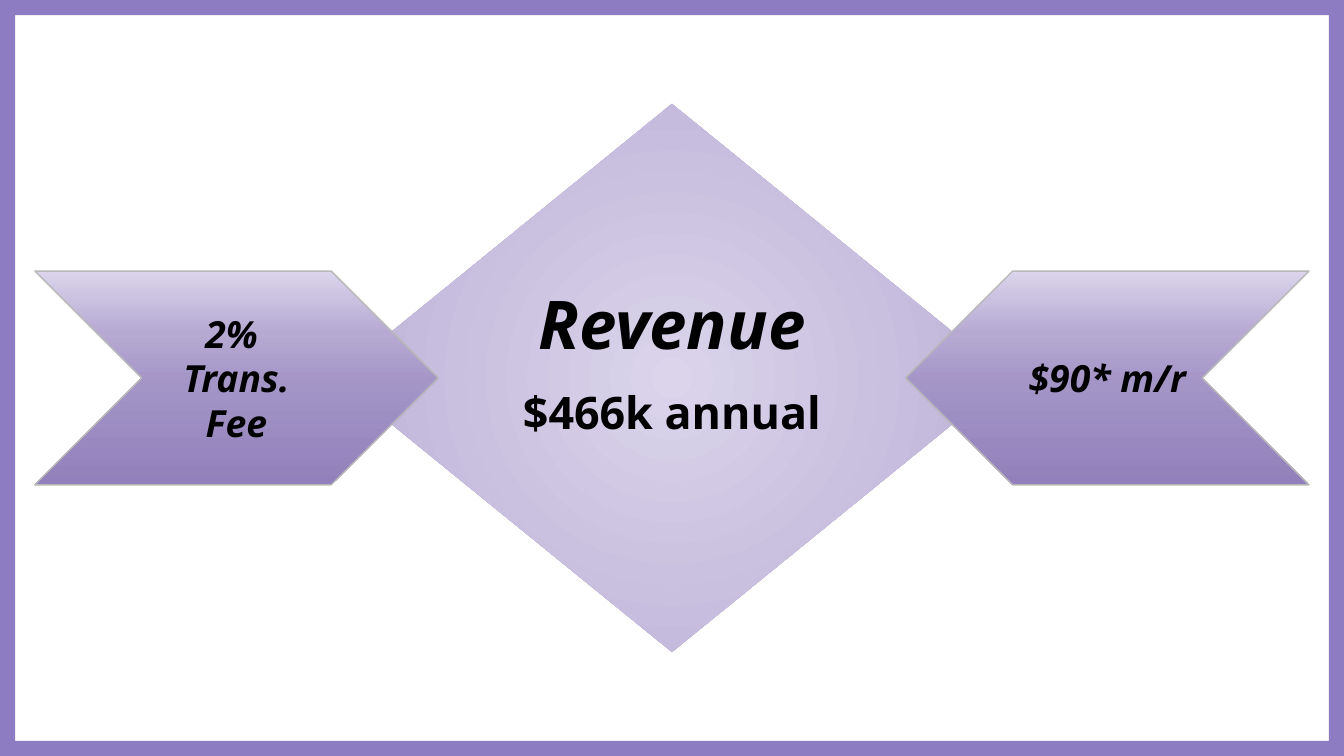
from lxml.etree import SubElement
from pptx import Presentation
from pptx.dml.color import RGBColor
from pptx.enum.shapes import MSO_SHAPE
from pptx.enum.text import MSO_ANCHOR, PP_ALIGN
from pptx.oxml.ns import qn
from pptx.util import Cm, Pt

FONT = "Open Sans"
BLACK = RGBColor(0x00, 0x00, 0x00)
GREY = RGBColor(0xB7, 0xB7, 0xB7)
PURPLE = RGBColor(0x8E, 0x7C, 0xC3)
PALE = RGBColor(0xDB, 0xD4, 0xEB)
LILAC = RGBColor(0xB6, 0xAA, 0xD3)
MAUVE = RGBColor(0xA4, 0x95, 0xC7)
PLUM = RGBColor(0x91, 0x80, 0xBB)

WIDTH, HEIGHT = 25.4, 14.29
CENTRE = [
    ("Revenue", dict(size=36, italic=True)),
    ("$466k annual", dict(size=24, before=12)),
]
LEFT = [("2% ", dict(italic=True)), ("Trans. Fee", dict(italic=True))]
RIGHT = [("$90* m/r", dict(italic=True))]
GLOW = [(0, PALE), (100, LILAC)]
FADE = [(0, PALE), (29, LILAC), (52, MAUVE), (100, PLUM)]


def add_shape(kind, left, top, width, height):
    shape = slide.shapes.add_shape(kind, Cm(left), Cm(top), Cm(width), Cm(height))
    shape.shadow.inherit = False
    shape.line.fill.background()
    return shape


def shade(shape, stops, round=False):
    """Fill with a gradient, from the centre out or from top to bottom."""
    shape.fill.gradient()
    grad = shape.element.spPr.find(qn("a:gradFill"))
    for child in list(grad):
        grad.remove(child)
    items = SubElement(grad, qn("a:gsLst"))
    for place, color in stops:
        stop = SubElement(items, qn("a:gs"), pos=str(place * 1000))
        SubElement(stop, qn("a:srgbClr"), val=str(color))
    if round:
        way = SubElement(grad, qn("a:path"), {"path": "circle"})
        SubElement(way, qn("a:fillToRect"), l="50000", t="50000", r="50000", b="50000")
    else:
        SubElement(grad, qn("a:lin"), ang="5400000", scaled="0")


def add_line(para, text, size=20, italic=False, before=0):
    para.alignment = PP_ALIGN.CENTER
    para.space_before = Pt(before)
    run = para.add_run()
    run.text = text
    font = run.font
    font.name, font.size = FONT, Pt(size)
    font.bold, font.italic = True, italic
    font.color.rgb = BLACK


def write(shape, lines, bottom=0.25):
    frame = shape.text_frame
    frame.word_wrap = True
    frame.vertical_anchor = MSO_ANCHOR.MIDDLE
    frame.margin_left = frame.margin_right = frame.margin_top = Cm(0.25)
    frame.margin_bottom = Cm(bottom)
    for i, (text, style) in enumerate(lines):
        para = frame.add_paragraph() if i else frame.paragraphs[0]
        add_line(para, text, **style)


def add_arrow(left, lines, flip=False):
    wide, high = 7.62, 4.04
    arrow = add_shape(MSO_SHAPE.CHEVRON, left, (HEIGHT - high) / 2, wide, high)
    shade(arrow, FADE)
    arrow.line.color.rgb = GREY
    arrow.line.width = Pt(0.75)
    if flip:
        arrow.element.spPr.get_or_add_xfrm().set("flipH", "1")
    write(arrow, lines)


deck = Presentation()
deck.slide_width, deck.slide_height = Cm(WIDTH), Cm(HEIGHT)
slide = deck.slides.add_slide(deck.slide_layouts[6])

border = add_shape(MSO_SHAPE.FRAME, 0, 0, WIDTH, HEIGHT)
border.adjustments[0] = 0.02
border.fill.solid()
border.fill.fore_color.rgb = PURPLE

wide, high = 12.75, 10.36
gem = add_shape(MSO_SHAPE.FLOWCHART_SORT, (WIDTH - wide) / 2, (HEIGHT - high) / 2, wide, high)
shade(gem, GLOW, round=True)
write(gem, CENTRE, bottom=0.92)

edge = 0.66
add_arrow(WIDTH - edge - 7.62, RIGHT, flip=True)
add_arrow(edge, LEFT)

deck.save("out.pptx")
